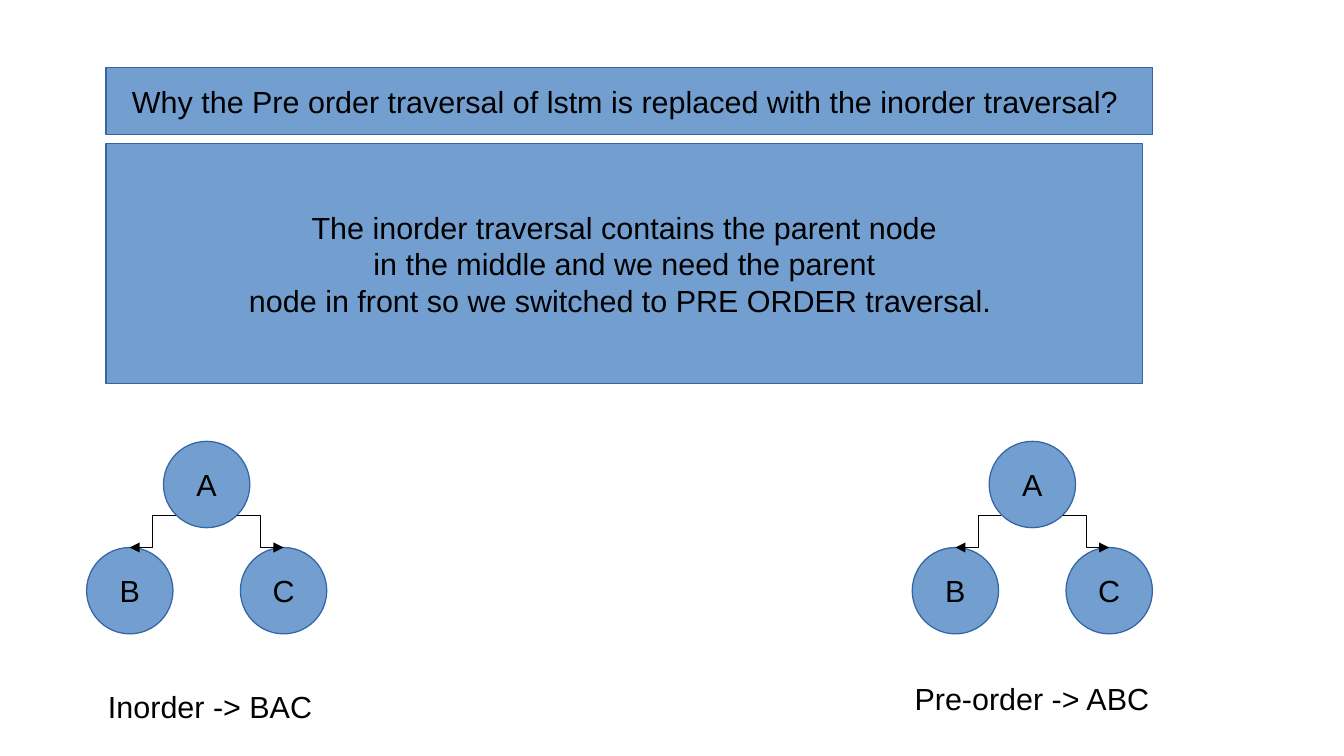
from pptx import Presentation
from pptx.dml.color import RGBColor
from pptx.enum.shapes import MSO_CONNECTOR as Connector, MSO_SHAPE as Shape
from pptx.enum.text import MSO_ANCHOR as Anchor, PP_ALIGN as Align
from pptx.oxml.ns import qn
from pptx.util import Pt
from lxml.etree import SubElement


def color(hex_value):
    return RGBColor.from_string(hex_value)


def apply_format(target, values):
    for name, value in values.items():
        setattr(target, name, value)


class TreeSlide:
    font = {"name": "Arial", "size": Pt(18)}
    box_frame = {"word_wrap": False, "vertical_anchor": Anchor.MIDDLE}
    label_frame = {"word_wrap": True, "vertical_anchor": Anchor.TOP}
    fill = "729FCF"
    outline = "3465A4"
    ink = "000000"
    line_width = Pt(0.75)
    node_size = 51
    side_step = 45.4
    root_top = 260.6
    child_top = 323.3
    elbow_top = 304.6
    elbow_start = 18.2

    def __init__(self, presentation):
        self.slide = presentation.slides.add_slide(presentation.slide_layouts[6])

    def add_lines(self, shape, lines, frame_format, alignment):
        frame = shape.text_frame
        apply_format(frame, frame_format)
        for index, line in enumerate(lines):
            paragraph = frame.add_paragraph() if index else frame.paragraphs[0]
            paragraph.alignment = alignment
            run = paragraph.add_run()
            run.text = line
            apply_format(run.font, self.font)
            run.font.color.rgb = color(self.ink)

    def box(self, kind, left, top, width, height, lines):
        shape = self.slide.shapes.add_shape(kind, Pt(left), Pt(top), Pt(width), Pt(height))
        shape.shadow.inherit = False
        shape.fill.solid()
        shape.fill.fore_color.rgb = color(self.fill)
        shape.line.color.rgb = color(self.outline)
        shape.line.width = self.line_width
        self.add_lines(shape, lines, self.box_frame, Align.CENTER)

    def label(self, left, top, width, height, text):
        shape = self.slide.shapes.add_textbox(Pt(left), Pt(top), Pt(width), Pt(height))
        self.add_lines(shape, [text], self.label_frame, Align.LEFT)

    def elbow(self, start_x, start_y, end_x, end_y):
        connector = self.slide.shapes.add_connector(
            Connector.ELBOW, Pt(start_x), Pt(start_y), Pt(end_x), Pt(end_y))
        connector.line.color.rgb = color(self.ink)
        connector.line.width = self.line_width
        properties = connector._element.spPr
        SubElement(properties.find(qn("a:ln")), qn("a:tailEnd"), type="triangle")
        SubElement(properties, qn("a:effectLst"))

    def node(self, center, top, letter):
        size = self.node_size
        self.box(Shape.OVAL, center - size / 2, top, size, size, [letter])

    def tree(self, center):
        children = {"B": -1, "C": 1}
        for letter, side in children.items():
            self.node(center + side * self.side_step, self.child_top, letter)
        self.node(center, self.root_top, "A")
        for side in children.values():
            self.elbow(center + side * self.elbow_start, self.elbow_top,
                       center + side * self.side_step, self.child_top)


def main():
    presentation = Presentation()
    apply_format(presentation, {"slide_width": Pt(793.4), "slide_height": Pt(446.4)})
    page = TreeSlide(presentation)
    page.box(Shape.RECTANGLE, 62.6, 39.8, 617.8, 39.6, [
        "Why the Pre order traversal of lstm is replaced with the inorder traversal? "])
    page.box(Shape.RECTANGLE, 62.6, 84.8, 612, 141.8, [
        "The inorder traversal contains the parent node",
        " in the middle and we need the parent ",
        "node in front so we switched to PRE ORDER traversal. "])
    for center in (122, 609.4):
        page.tree(center)
    page.label(56.7, 402.5, 141.8, 27.4, "Inorder -> BAC")
    page.label(532.8, 398.2, 170, 47.5, "Pre-order -> ABC")
    presentation.save("out.pptx")


if __name__ == "__main__":
    main()
